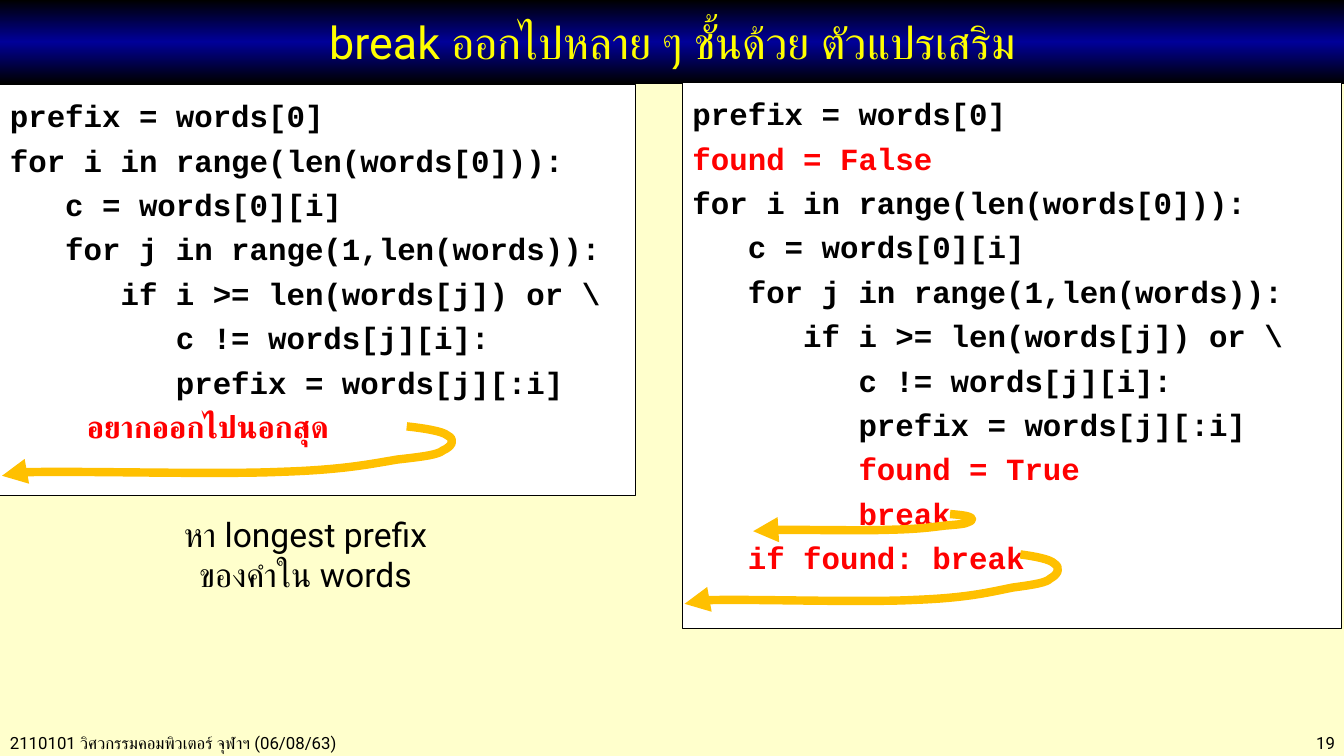
from copy import deepcopy
from dataclasses import dataclass
from lxml.etree import SubElement
from pptx import Presentation
from pptx.dml.color import RGBColor
from pptx.enum.shapes import MSO_SHAPE
from pptx.enum.text import MSO_ANCHOR, PP_ALIGN
from pptx.oxml.ns import qn
from pptx.util import Inches, Pt


@dataclass(frozen=True)
class Theme:
    """Colours, fonts and type sizes of the deck."""
    page: str = "FFFFCC"
    ink: str = "000000"
    paper: str = "FFFFFF"
    navy: str = "000099"
    title: str = "FFFF00"
    red: str = "FF0000"
    gold: str = "FFC000"
    sans: str = "Roboto"
    mono: str = "Courier New"
    head: int = 32
    note: int = 24
    code: int = 22
    foot: int = 12


THEME = Theme()

BEFORE = """prefix = words[0]
for i in range(len(words[0])):
   c = words[0][i]
   for j in range(1,len(words)):
      if i >= len(words[j]) or \\
         c != words[j][i]:
         prefix = words[j][:i]
         อยากออกไปนอกสุด"""

AFTER = """prefix = words[0]
found = False
for i in range(len(words[0])):
   c = words[0][i]
   for j in range(1,len(words)):
      if i >= len(words[j]) or \\
         c != words[j][i]:
         prefix = words[j][:i]
         found = True
         break
   if found: break"""

START = (0.9, 0)
BENDS = [
    ((0.94, 0.04), (0.98, 0.1), (0.99, 0.18)),
    ((1.01, 0.27), (1, 0.41), (0.98, 0.49)),
    ((0.97, 0.57), (0.94, 0.61), (0.88, 0.67)),
    ((0.82, 0.76), (0.76, 0.88), (0.62, 0.92)),
    ((0.47, 0.98), (-0.06, 0.84), (0, 1)),
]


def tint(name):
    """Turn a hex name into a colour."""
    return RGBColor.from_string(name)


def style(para, face, size, color, bold=False):
    """Set the font of one paragraph."""
    font = para.font
    font.name, font.size, font.bold = face, Pt(size), bold
    font.color.rgb = tint(color)


def add_title(slide, box, text):
    """Fill the title bar with a three-stop gradient and its text."""
    bar = slide.shapes.title
    bar.left, bar.top, bar.width, bar.height = map(Inches, box)
    bar.fill.gradient()
    bar.fill.gradient_angle = 90
    stops = bar.element.spPr.find(qn("a:gradFill")).find(qn("a:gsLst"))
    stops.insert(1, deepcopy(stops[0]))
    for stop, spot, color in zip(bar.fill.gradient_stops, (0, 0.5, 1),
                                 (THEME.ink, THEME.navy, THEME.ink)):
        stop.position = spot
        stop.color.rgb = tint(color)
    frame = bar.text_frame
    frame.text = text
    frame.vertical_anchor = MSO_ANCHOR.MIDDLE
    para = frame.paragraphs[0]
    para.alignment = PP_ALIGN.CENTER
    style(para, THEME.sans, THEME.head, THEME.title)


def add_code(slide, box, code, marks):
    """Draw a code panel whose marked lines are red."""
    panel = slide.shapes.add_shape(MSO_SHAPE.RECTANGLE, *map(Inches, box))
    panel.shadow.inherit = False
    panel.fill.solid()
    panel.fill.fore_color.rgb = tint(THEME.paper)
    panel.line.color.rgb = tint(THEME.ink)
    panel.line.width = Pt(0.75)
    frame = panel.text_frame
    frame.vertical_anchor = MSO_ANCHOR.TOP
    frame.word_wrap = True
    frame.text = code
    for row, para in enumerate(frame.paragraphs):
        para.alignment = PP_ALIGN.LEFT
        para.line_spacing = Pt(31.7)
        color = THEME.red if row in marks else THEME.ink
        style(para, THEME.mono, THEME.code, color, True)


def add_label(slide, box, text, size, align):
    """Place a plain text label."""
    frame = slide.shapes.add_textbox(*map(Inches, box)).text_frame
    frame.word_wrap = True
    frame.text = text
    para = frame.paragraphs[0]
    para.alignment = align
    style(para, THEME.sans, size, THEME.ink)


def add_hook(slide, box):
    """Draw a hooked arrow that leaves a loop to the left."""
    left, top, width, height = box

    def place(spot):
        """Scale a unit point into the box."""
        return (Inches(left + spot[0] * width),
                Inches(top + spot[1] * height))

    pen = slide.shapes.build_freeform(*place(START))
    pen.add_line_segments([place(bend[-1]) for bend in BENDS], close=False)
    hook = pen.convert_to_shape()
    for side, bend in zip(list(hook.element.iter(qn("a:lnTo"))), BENDS):
        curve = SubElement(side.getparent(), qn("a:cubicBezTo"))
        for x, y in map(place, bend):
            SubElement(curve, qn("a:pt"),
                       x=str(x - hook.left), y=str(y - hook.top))
        side.getparent().replace(side, curve)
    hook.shadow.inherit = False
    hook.fill.background()
    hook.line.color.rgb = tint(THEME.gold)
    hook.line.width = Pt(6)
    SubElement(hook.line._get_or_add_ln(), qn("a:tailEnd"), type="triangle")


def main():
    """Build and save the slide."""
    deck = Presentation()
    deck.slide_width, deck.slide_height = Inches(13.33), Inches(7.5)
    slide = deck.slides.add_slide(deck.slide_layouts[5])
    slide.background.fill.solid()
    slide.background.fill.fore_color.rgb = tint(THEME.page)
    add_label(slide, (0, 7.22, 5.2, 0.3),
              "2110101 วิศวกรรมคอมพิวเตอร์ จุฬาฯ (06/08/63)",
              THEME.foot, PP_ALIGN.LEFT)
    add_label(slide, (11.5, 7.22, 1.84, 0.3), "19",
              THEME.foot, PP_ALIGN.RIGHT)
    add_title(slide, (0, 0, 13.34, 0.83),
              "break ออกไปหลาย ๆ ชั้นด้วย ตัวแปรเสริม")
    add_code(slide, (0, 0.84, 6.3, 4.08), BEFORE, {7})
    add_code(slide, (6.77, 0.82, 6.54, 5.42), AFTER, {1, 8, 9, 10})
    for box in ((0.02, 4.23, 4.46, 0.49), (6.79, 5.5, 3.7, 0.49),
                (7.47, 5.1, 2.17, 0.17)):
        add_hook(slide, box)
    add_label(slide, (1.5, 5.05, 3.06, 0.91),
              "หา longest prefix ของคำใน words",
              THEME.note, PP_ALIGN.CENTER)
    deck.save("out.pptx")


if __name__ == "__main__":
    main()
